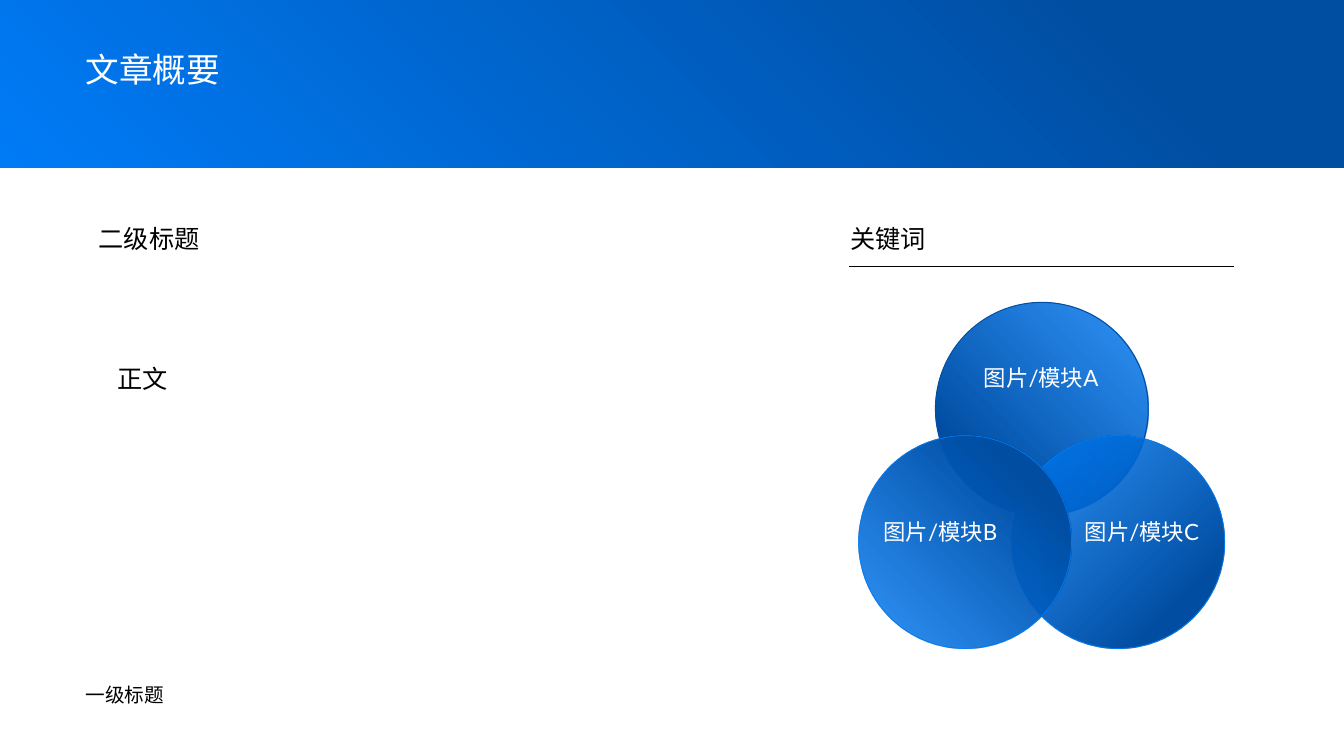
import pptx
import pptx.util
import pptx.dml.color
import pptx.enum.shapes
import pptx.enum.text
import pptx.oxml.ns
from lxml import etree

Pt = pptx.util.Pt
ALIGN = pptx.enum.text.PP_ALIGN
SHAPE = pptx.enum.shapes.MSO_SHAPE
LINE = pptx.enum.shapes.MSO_CONNECTOR.STRAIGHT

DARK, BRIGHT, BLACK, WHITE = "004EA2", "007BF6", "000000", "FFFFFF"
SLIDE_W, SLIDE_H = 960, 540
HEADER_H = 120

TITLE = ("文章概要", (54, 31, 836.6, 36))
HEADING = dict(size=18, font="Roboto", align=ALIGN.JUSTIFY, spacing=1.2)
TEXTS = [
    ("一级标题", (54, 484.6, 73.4, 24.5), dict(size=14, font="Arial")),
    ("关键词", (600.4, 152, 293.8, 33), HEADING),
    ("二级标题", (63.4, 152, 480, 33), HEADING),
    ("正文", (77, 255.6, 319.7, 29), dict(size=18, font="Calibri")),
]
RULE = (606.4, 881.3, 190.5)

DIAMETER = 152
CIRCLES = [
    (668.2, 216, 135, DARK, 0.75),
    (722.8, 311.2, 45, BRIGHT, 0.5),
    (613.4, 311.2, 315, BRIGHT, 0.5),
]
LABEL_W, LABEL_H = 174.2, 26.6
LABELS = [
    ("图片/模块C", 728.6, 366.5),
    ("图片/模块B", 584.6, 366.5),
    ("图片/模块A", 656.6, 256.3),
]


def rgb(value):
    return pptx.dml.color.RGBColor.from_string(value)


def place(sp, box):
    sp.left, sp.top, sp.width, sp.height = map(Pt, box)


def write(sp, text, size=16, font="Lato", color=BLACK, align=ALIGN.LEFT, spacing=None):
    tf = sp.text_frame
    tf.word_wrap = True
    tf.auto_size = pptx.enum.text.MSO_AUTO_SIZE.SHAPE_TO_FIT_TEXT
    tf.vertical_anchor = pptx.enum.text.MSO_ANCHOR.TOP
    p = tf.paragraphs[0]
    p.alignment = align
    p.line_spacing = spacing
    r = p.add_run()
    r.text = text
    r.font.size = Pt(size)
    r.font.name = font
    r.font.color.rgb = rgb(color)
    ea = etree.SubElement(r.font._element, pptx.oxml.ns.qn("a:ea"))
    ea.set("typeface", font)


def add_text(shapes, text, box, **fmt):
    write(shapes.add_textbox(*map(Pt, box)), text, **fmt)


def add_gradient(shapes, kind, box, stops, angle):
    sp = shapes.add_shape(kind, *map(Pt, box))
    sp.shadow.inherit = False
    sp.fill.gradient()
    sp.fill.gradient_angle = (360 - angle) % 360
    for stop, (position, color, opacity) in zip(sp.fill.gradient_stops, stops):
        stop.position = position
        stop.color.rgb = rgb(color)
        if opacity < 100:
            clr = stop._gs.find(pptx.oxml.ns.qn("a:srgbClr"))
            alpha = etree.SubElement(clr, pptx.oxml.ns.qn("a:alpha"))
            alpha.set("val", str(opacity * 1000))
    sp.line.fill.background()
    return sp


def main():
    prs = pptx.Presentation()
    prs.slide_width, prs.slide_height = Pt(SLIDE_W), Pt(SLIDE_H)
    s = prs.slides.add_slide(prs.slide_layouts[5])

    header = add_gradient(s.shapes, SHAPE.RECTANGLE, (0, 0, SLIDE_W, HEADER_H),
                          [(0.17, DARK, 100), (1, BRIGHT, 100)], 135)
    title = s.shapes.title
    title._element.addprevious(header._element)
    text, box = TITLE
    place(title, box)
    write(title, text, size=24, font="Arial", color=WHITE)

    for text, box, fmt in TEXTS:
        add_text(s.shapes, text, box, **fmt)

    left, right, y = RULE
    rule = s.shapes.add_connector(LINE, Pt(left), Pt(y), Pt(right), Pt(y))
    rule.line.color.rgb = rgb(BLACK)
    rule.line.width = Pt(1)
    etree.SubElement(rule._element.spPr, pptx.oxml.ns.qn("a:effectLst"))

    venn = s.shapes.add_group_shape()
    for x, y, angle, outline, width in CIRCLES:
        circle = add_gradient(venn.shapes, SHAPE.OVAL, (x, y, DIAMETER, DIAMETER),
                              [(0, BRIGHT, 80), (0.79, DARK, 100)], angle)
        circle.line.color.rgb = rgb(outline)
        circle.line.width = Pt(width)
    for text, x, y in LABELS:
        add_text(venn.shapes, text, (x, y, LABEL_W, LABEL_H), color=WHITE, align=ALIGN.CENTER)

    prs.save("out.pptx")


if __name__ == "__main__":
    main()
